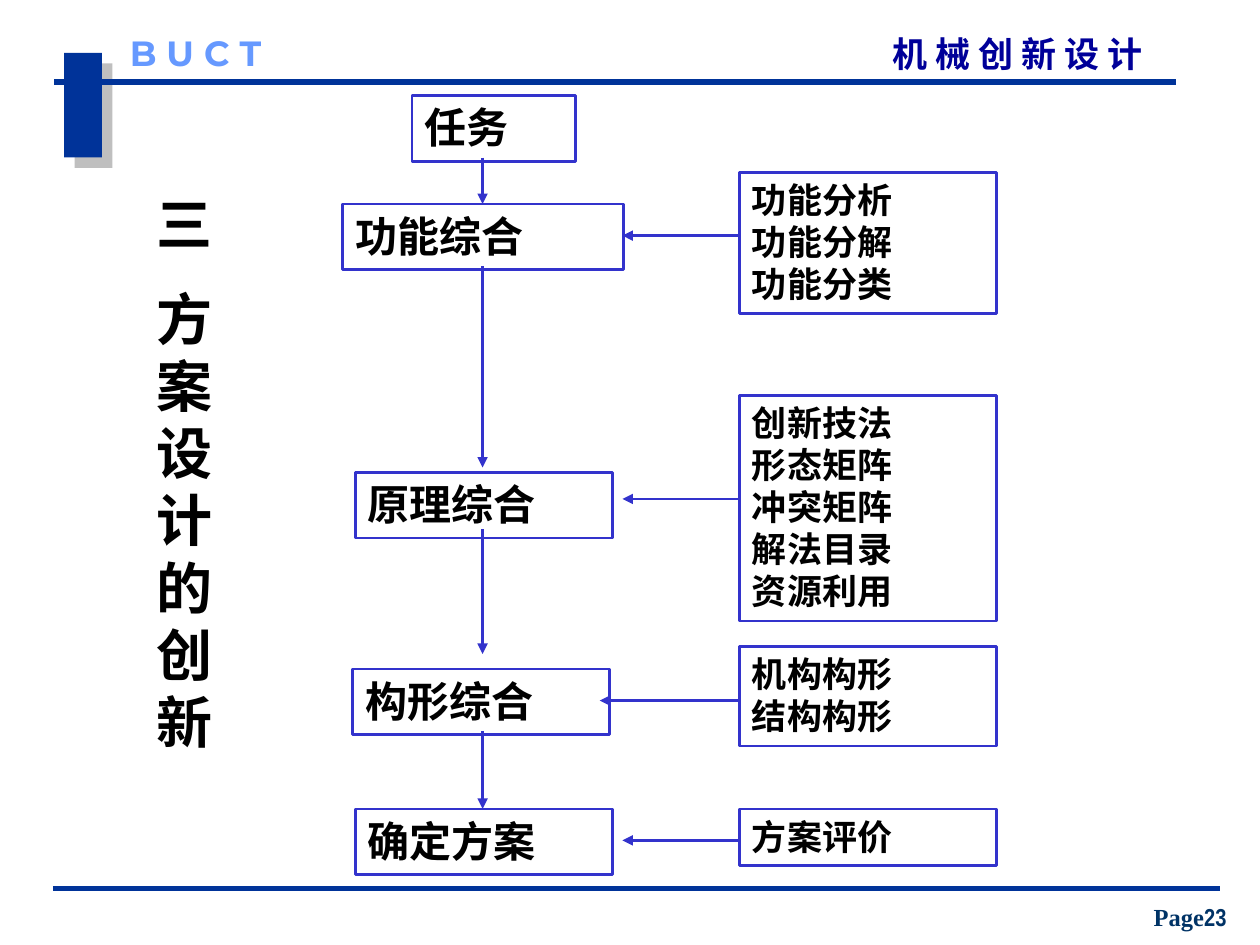
from dataclasses import dataclass

from lxml import etree
from pptx import Presentation
from pptx.dml.color import RGBColor
from pptx.enum import shapes, text
from pptx.oxml import parse_xml
from pptx.oxml.ns import nsdecls, qn
from pptx.util import Inches, Pt


@dataclass(frozen=True)
class Theme:
    navy: str = "003399"
    header: str = "000099"
    school: str = "6699FF"
    page: str = "003366"
    flow: str = "3333CC"
    ink: str = "000000"
    cjk: str = "Noto Sans CJK SC"
    serif: str = "Times New Roman"
    sans: str = "Montserrat"
    narrow: str = "Arial Narrow"
    title_size: int = 32
    step_size: int = 24
    detail_size: int = 20
    page_size: int = 14
    rule_width: float = 3
    flow_width: float = 1.5


T = Theme()
AXIS_X = 3.83
DETAIL_X = 5.87
DETAIL_W = 2.04

STEPS = [
    ("任务", 3.27, 0.76, 1.3),
    ("功能综合", 2.72, 1.62, 2.23),
    ("原理综合", 2.82, 3.75, 2.04),
    ("构形综合", 2.8, 5.31, 2.04),
    ("确定方案", 2.82, 6.42, 2.04),
]
DOWN_ARROWS = [(1.25, 1.62), (2.11, 3.71), (4.2, 5.19), (5.8, 6.42)]
DETAILS = [
    (["功能分析", "功能分解", "功能分类"], 1.37, 1.12, 1.87, 4.94),
    (["创新技法", "形态矩阵", "冲突矩阵", "解法目录", "资源利用"], 3.14, 1.79, 3.96, 4.94),
    (["机构构形", "结构构形"], 5.13, 0.79, 5.56, 4.76),
    (["方案评价"], 6.42, 0.45, 6.67, 4.94),
]


def add_run(p, words, size, font, color):
    r = p.add_run()
    r.text = words
    r.font.size = Pt(size)
    r.font.bold = True
    r.font.color.rgb = RGBColor.from_string(color)
    r.font.name = font
    etree.SubElement(r.font._element, qn("a:ea")).set("typeface", T.cjk)


def add_label(s, x, y, w, h, runs, align, margin=0, anchor=text.MSO_ANCHOR.TOP):
    tf = s.shapes.add_textbox(Inches(x), Inches(y), Inches(w), Inches(h)).text_frame
    tf.word_wrap = True
    tf.vertical_anchor = anchor
    tf.margin_left = tf.margin_right = Inches(margin)
    tf.margin_top = tf.margin_bottom = Inches(margin / 2)
    tf.paragraphs[0].alignment = align
    for run in runs:
        add_run(tf.paragraphs[0], *run)


def add_rect(s, x, y, w, h):
    sp = s.shapes.add_shape(shapes.MSO_SHAPE.RECTANGLE,
                            Inches(x), Inches(y), Inches(w), Inches(h))
    sp.shadow.inherit = False
    return sp


def add_box(s, x, y, w, h, lines, size):
    sp = add_rect(s, x, y, w, h)
    sp.fill.background()
    sp.line.color.rgb = RGBColor.from_string(T.flow)
    sp.line.width = Pt(T.flow_width)
    tf = sp.text_frame
    tf.word_wrap = True
    tf.vertical_anchor = text.MSO_ANCHOR.TOP
    for i, words in enumerate(lines):
        p = tf.add_paragraph() if i else tf.paragraphs[0]
        p.alignment = text.PP_ALIGN.JUSTIFY
        add_run(p, words, size, T.serif, T.ink)


def add_line(s, x1, y1, x2, y2, color, width, arrow=False):
    c = s.shapes.add_connector(shapes.MSO_CONNECTOR.STRAIGHT,
                               Inches(x1), Inches(y1), Inches(x2), Inches(y2))
    c.line.color.rgb = RGBColor.from_string(color)
    c.line.width = Pt(width)
    if arrow:
        etree.SubElement(c.line._get_or_add_ln(), qn("a:tailEnd")).set("type", "triangle")
    etree.SubElement(c._element.spPr, qn("a:effectLst"))


def add_arrow(s, x1, y1, x2, y2):
    add_line(s, x1, y1, x2, y2, T.flow, T.flow_width, arrow=True)


def add_accent(s):
    sp = add_rect(s, 0.51, 0.42, 0.3, 0.83)
    sp.fill.solid()
    sp.fill.fore_color.rgb = RGBColor.from_string(T.navy)
    sp.line.fill.background()
    effects = sp._element.spPr.find(qn("a:effectLst"))
    effects.append(parse_xml(
        f'<a:outerShdw {nsdecls("a")} dist="{Pt(8.5)}" dir="2700000" algn="ctr" rotWithShape="0">'
        '<a:srgbClr val="808080"><a:alpha val="50000"/></a:srgbClr></a:outerShdw>'))


def add_frame(s):
    add_accent(s)
    add_line(s, 0.43, 0.65, 9.33, 0.65, T.navy, T.rule_width)
    add_line(s, 0.42, 7.05, 9.68, 7.05, T.navy, T.rule_width)
    add_label(s, 6.07, 0.26, 3, 0.33,
              [("机 械 创 新 设 计", 20, T.cjk, T.header)], text.PP_ALIGN.RIGHT)
    add_label(s, 1.03, 0.25, 1.42, 0.33,
              [("B U C T", 20, T.sans, T.school)], text.PP_ALIGN.LEFT)
    add_label(s, 8.97, 7.11, 0.95, 0.33,
              [("Page", T.page_size, T.serif, T.page), ("23", T.page_size, T.narrow, T.page)],
              text.PP_ALIGN.CENTER, 0.1, text.MSO_ANCHOR.BOTTOM)


def set_title(s):
    title = s.shapes.title
    title.left, title.top = Inches(1.14), Inches(1.45)
    title.width, title.height = Inches(0.87), Inches(4.63)
    tf = title.text_frame
    tf.word_wrap = True
    tf.auto_size = text.MSO_AUTO_SIZE.NONE
    tf.vertical_anchor = text.MSO_ANCHOR.TOP
    number, name = tf.paragraphs[0], tf.add_paragraph()
    name.space_before = Pt(T.title_size / 2)
    for p, words, font in ((number, "三", T.serif), (name, "方案设计的创新", T.cjk)):
        p.alignment = text.PP_ALIGN.LEFT
        add_run(p, words, T.title_size, font, T.ink)


def add_flow(s):
    for words, x, y, w in STEPS:
        add_box(s, x, y, w, 0.52, [words], T.step_size)
    for top, bottom in DOWN_ARROWS:
        add_arrow(s, AXIS_X, top, AXIS_X, bottom)
    for lines, y, h, arrow_y, arrow_end in DETAILS:
        add_box(s, DETAIL_X, y, DETAIL_W, h, lines, T.detail_size)
        add_arrow(s, DETAIL_X, arrow_y, arrow_end, arrow_y)


def main():
    prs = Presentation()
    prs.slide_width, prs.slide_height = Inches(10), Inches(7.5)
    s = prs.slides.add_slide(prs.slide_layouts[5])
    add_frame(s)
    set_title(s)
    add_flow(s)
    prs.save("out.pptx")


if __name__ == "__main__":
    main()
